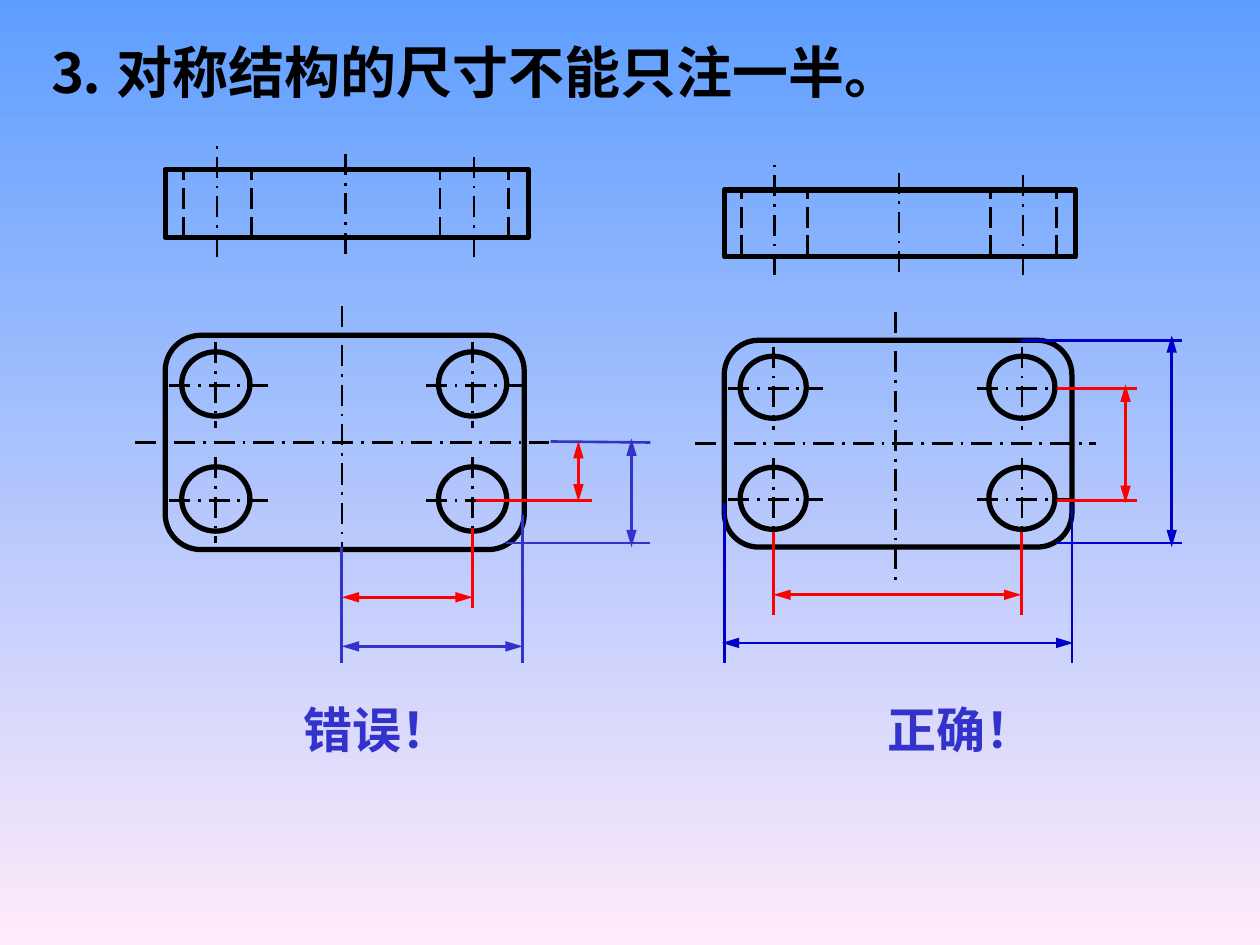
from itertools import product

from pptx import Presentation
from pptx.dml.color import RGBColor
from pptx.enum.dml import MSO_LINE
from pptx.enum.shapes import MSO_CONNECTOR, MSO_SHAPE as SHAPE
from pptx.enum.text import MSO_ANCHOR, PP_ALIGN
from pptx.oxml.ns import qn
from pptx.util import Cm, Pt
from lxml.etree import SubElement

BLACK, RED, VIOLET, BLUE = "000000", "FF0000", "3333CC", "0000CC"
DASH, CENTRE = MSO_LINE.LONG_DASH, MSO_LINE.LONG_DASH_DOT

# Lines in cm from the plate's corner: x1, y1, x2, y2
WRONG = {
    "extensions": [
        (RED, 6.2, 5.49, 6.2, 3.91),
        (RED, 6.27, 3.33, 8.61, 3.33),
        (VIOLET, 3.56, 6.6, 3.56, 4.27),
        (VIOLET, 7.21, 3.63, 7.21, 6.6),
        (VIOLET, 6.88, 4.19, 9.78, 4.19),
        (VIOLET, 7.77, 2.14, 9.78, 2.16),
    ],
    "dimensions": [
        (RED, 3.56, 5.28, 6.2, 5.28),
        (RED, 8.33, 2.13, 8.33, 3.35),
        (VIOLET, 3.56, 6.27, 7.21, 6.27),
        (VIOLET, 9.4, 2.08, 9.4, 4.27),
    ],
}
RIGHT = {
    "extensions": [
        (RED, 0.99, 3.86, 0.99, 5.54),
        (RED, 5.99, 3.86, 5.99, 5.54),
        (RED, 6.7, 0.97, 8.33, 0.97),
        (RED, 6.7, 3.23, 8.33, 3.23),
        (BLUE, 0, 3.28, 0, 6.5),
        (BLUE, 7.01, 3.28, 7.01, 6.5),
        (BLUE, 5.99, 0, 9.22, 0),
        (BLUE, 6.68, 4.09, 9.22, 4.09),
    ],
    "dimensions": [
        (RED, 0.99, 5.13, 5.99, 5.13),
        (RED, 8.09, 0.89, 8.09, 3.28),
        (BLUE, -0.05, 6.1, 7.04, 6.1),
        (BLUE, 9.02, -0.1, 9.02, 4.17),
    ],
}


def rgb(hex_color):
    return RGBColor.from_string(hex_color)


def add_outline(slide, kind, x, y, w, h):
    sp = slide.shapes.add_shape(kind, Cm(x), Cm(y), Cm(w), Cm(h))
    sp.shadow.inherit = False
    sp.fill.background()
    sp.line.color.rgb = rgb(BLACK)
    sp.line.width = Pt(3)
    return sp


def add_line(slide, x1, y1, x2, y2, color=BLACK, dash=None, arrows=False):
    cx = slide.shapes.add_connector(
        MSO_CONNECTOR.STRAIGHT, Cm(x1), Cm(y1), Cm(x2), Cm(y2))
    cx.line.color.rgb = rgb(color)
    cx.line.width = Pt(1.5)
    if dash:
        cx.line.dash_style = dash
    sp_pr = cx._element.spPr
    if arrows:
        for end in ("a:headEnd", "a:tailEnd"):
            SubElement(sp_pr.find(qn("a:ln")), qn(end),
                       type="triangle", w="med", len="lg")
    SubElement(sp_pr, qn("a:effectLst"))


def add_text(slide, text, x, y, w, h, size, color, align):
    tf = slide.shapes.add_textbox(Cm(x), Cm(y), Cm(w), Cm(h)).text_frame
    tf.word_wrap = False
    tf.vertical_anchor = MSO_ANCHOR.MIDDLE
    p = tf.paragraphs[0]
    p.alignment = align
    r = p.add_run()
    r.text = text
    for name, value in {"name": "Arial", "size": Pt(size), "bold": True}.items():
        setattr(r.font, name, value)
    r.font.color.rgb = rgb(color)


def add_front_view(slide, x, y, w, h):
    """Plate seen from the side, with hidden hole edges and axes."""
    add_outline(slide, SHAPE.RECTANGLE, x, y, w, h)
    for fx in (0.05, 0.237, 0.757, 0.945):
        add_line(slide, x + fx * w, y + h, x + fx * w, y, dash=DASH)
    for fx, top, bottom in ((0.143, -0.44, 1.28), (0.497, -0.26, 1.24),
                            (0.85, -0.3, 1.28)):
        add_line(slide, x + fx * w, y + bottom * h,
                 x + fx * w, y + top * h, dash=CENTRE)


def add_plan_view(slide, x, y, w, h):
    """Rounded plate with four holes and its axes of symmetry."""
    add_outline(slide, SHAPE.ROUNDED_RECTANGLE, x, y, w, h)
    hole_w, hole_h = 0.19 * w, 0.3 * h
    for fx, fy in product((0.141, 0.856), (0.227, 0.764)):
        cx, cy = x + fx * w, y + fy * h
        add_outline(slide, SHAPE.OVAL, cx - hole_w / 2, cy - hole_h / 2,
                    hole_w, hole_h)
        add_line(slide, cx - 0.13 * w, cy + 0.03, cx + 0.144 * w, cy + 0.03,
                 dash=CENTRE)
        add_line(slide, cx, cy - 0.195 * h, cx, cy + 0.205 * h, dash=CENTRE)
    mid_x, mid_y = x + 0.492 * w, y + 0.5 * h
    add_line(slide, x - 0.084 * w, mid_y, x + 1.07 * w, mid_y, dash=CENTRE)
    add_line(slide, mid_x, y - 0.138 * h, mid_x, y + 1.165 * h, dash=CENTRE)


def add_dimensions(slide, x, y, lines):
    for kind, rows in lines.items():
        for color, x1, y1, x2, y2 in rows:
            add_line(slide, x + x1, y + y1, x + x2, y + y2, color,
                     arrows=kind == "dimensions")


def add_example(slide, front, plan, lines, verdict, verdict_x):
    add_front_view(slide, *front)
    add_plan_view(slide, *plan)
    add_dimensions(slide, *plan[:2], lines)
    add_text(slide, verdict, verdict_x, 13.97, 3.45, 1.45, 28, VIOLET,
             PP_ALIGN.CENTER)


def set_background(slide):
    fill = slide.background.fill
    fill.gradient()
    fill.gradient_angle = 270
    for stop, color in zip(fill.gradient_stops, ("5E9EFF", "FFEBFA")):
        stop.color.rgb = rgb(color)


def main():
    prs = Presentation()
    prs.slide_width, prs.slide_height = Cm(25.4), Cm(19.05)
    s = prs.slides.add_slide(prs.slide_layouts[6])
    set_background(s)
    add_text(s, "⒊ 对称结构的尺寸不能只注一半。", 0.71, 0.61, 17.7, 1.63, 32,
             BLACK, PP_ALIGN.LEFT)
    add_example(s, (3.33, 3.42, 7.32, 1.37), (3.33, 6.76, 7.24, 4.32),
                WRONG, "错误！", 5.38)
    add_example(s, (14.6, 3.83, 7.09, 1.34), (14.6, 6.86, 7.01, 4.17),
                RIGHT, "正确！", 17.15)
    prs.save("out.pptx")


if __name__ == "__main__":
    main()
